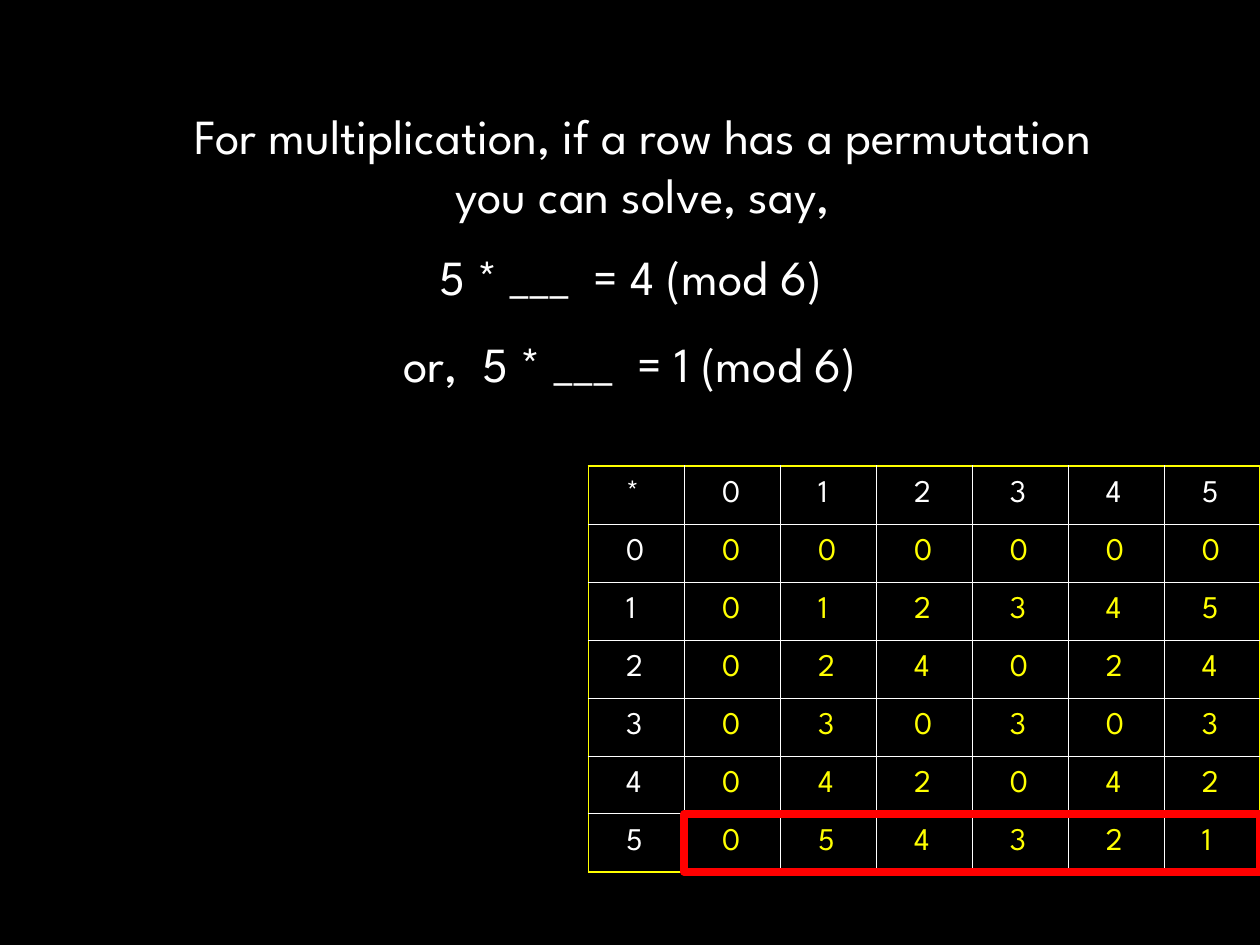
from dataclasses import dataclass

from lxml.etree import SubElement
from pptx import Presentation
from pptx.dml.color import RGBColor
from pptx.enum.shapes import MSO_SHAPE
from pptx.enum.text import MSO_ANCHOR, MSO_AUTO_SIZE, PP_ALIGN
from pptx.oxml.ns import qn
from pptx.slide import Slide
from pptx.table import _Cell
from pptx.text.text import TextFrame
from pptx.util import Inches, Pt

COLORS = {
    "background": "000000",
    "text": "FFFFFF",
    "accent": "FFFF00",
    "highlight": "FF0000",
}
FONT = "League Spartan"
MODULUS = 6
GRID_SIZE = MODULUS + 1
TABLE_LEFT, TABLE_TOP = 4.67, 3.7
COLUMN_WIDTH, ROW_HEIGHT = 5.33 / GRID_SIZE, 0.46


@dataclass
class Equation:
    text: str
    left: float
    top: float
    width: float
    height: float = 0.57


EQUATIONS = [
    Equation("5 * ___  = 4 (mod 6)", 3.21, 1.91, 3.59),
    Equation("or,  5 * ___  = 1 (mod 6)", 2.85, 2.6, 4.3),
]


def color(name: str) -> RGBColor:
    return RGBColor.from_string(COLORS[name])


def write_text(frame: TextFrame, text: str, *, size: float = 28,
               font_color: str = "text", align: PP_ALIGN = PP_ALIGN.CENTER) -> None:
    """Fill the frame with one paragraph for each line of text."""
    frame.text = text
    for paragraph in frame.paragraphs:
        paragraph.alignment = align
        for run in paragraph.runs:
            run.font.name = FONT
            run.font.size = Pt(size)
            run.font.bold = False
            run.font.color.rgb = color(font_color)


def add_heading(slide: Slide, text: str) -> None:
    title = slide.shapes.title
    title.left, title.top = Inches(0.89), Inches(0.79)
    title.width, title.height = Inches(8.42), Inches(1.04)
    frame = title.text_frame
    write_text(frame, text)
    frame.word_wrap = False
    frame.auto_size = MSO_AUTO_SIZE.SHAPE_TO_FIT_TEXT
    frame.vertical_anchor = MSO_ANCHOR.TOP


def add_equation(slide: Slide, equation: Equation) -> None:
    box = slide.shapes.add_textbox(Inches(equation.left), Inches(equation.top),
                                   Inches(equation.width), Inches(equation.height))
    write_text(box.text_frame, equation.text)
    box.text_frame.word_wrap = False
    box.text_frame.auto_size = MSO_AUTO_SIZE.SHAPE_TO_FIT_TEXT


def set_border(cell: _Cell, side: str, is_outer: bool) -> None:
    width = Pt(1.08 if is_outer else 0.45)
    properties = cell._tc.get_or_add_tcPr()
    line = SubElement(properties, qn(f"a:ln{side}"), w=str(int(width)))
    fill = SubElement(line, qn("a:solidFill"))
    SubElement(fill, qn("a:srgbClr"), val=COLORS["accent" if is_outer else "text"])


def cell_text(row: int, column: int) -> str:
    if row == 0 and column == 0:
        return "*"
    if row == 0 or column == 0:
        return str(row + column - 1)
    return str((row - 1) * (column - 1) % MODULUS)


def format_cell(cell: _Cell, row: int, column: int) -> None:
    last = GRID_SIZE - 1
    is_header = row == 0 or column == 0
    write_text(cell.text_frame, cell_text(row, column), size=18, align=PP_ALIGN.LEFT,
               font_color="text" if is_header else "accent")
    cell.vertical_anchor = MSO_ANCHOR.MIDDLE
    cell.margin_left = cell.margin_right = Inches(0.3)
    cell.margin_top = cell.margin_bottom = Inches(0.05)
    outer_sides = {"L": column == 0, "R": column == last, "T": row == 0, "B": row == last}
    for side, is_outer in outer_sides.items():
        set_border(cell, side, is_outer)
    cell.fill.solid()
    cell.fill.fore_color.rgb = color("background")


def add_multiplication_table(slide: Slide) -> None:
    table = slide.shapes.add_table(
        GRID_SIZE, GRID_SIZE, Inches(TABLE_LEFT), Inches(TABLE_TOP),
        Inches(GRID_SIZE * COLUMN_WIDTH), Inches(GRID_SIZE * ROW_HEIGHT)).table
    table.first_row = table.horz_banding = False
    for column in table.columns:
        column.width = Inches(COLUMN_WIDTH)
    for row_index, row in enumerate(table.rows):
        row.height = Inches(ROW_HEIGHT)
        for column_index, cell in enumerate(row.cells):
            format_cell(cell, row_index, column_index)


def add_row_highlight(slide: Slide, row: int) -> None:
    """Frame the products of one table row."""
    frame = slide.shapes.add_shape(
        MSO_SHAPE.RECTANGLE, Inches(TABLE_LEFT + COLUMN_WIDTH),
        Inches(TABLE_TOP + row * ROW_HEIGHT),
        Inches(MODULUS * COLUMN_WIDTH), Inches(ROW_HEIGHT))
    frame.shadow.inherit = False
    frame.fill.background()
    frame.line.color.rgb = color("highlight")
    frame.line.width = Pt(4.5)


def main() -> None:
    presentation = Presentation()
    presentation.slide_width, presentation.slide_height = Inches(10), Inches(7.5)
    title_only = presentation.slide_layouts[5]
    slide = presentation.slides.add_slide(title_only)
    slide.background.fill.solid()
    slide.background.fill.fore_color.rgb = color("background")

    add_heading(slide, "For multiplication, if a row has a permutation\nyou can solve, say,")
    add_multiplication_table(slide)
    add_row_highlight(slide, row=GRID_SIZE - 1)
    for equation in EQUATIONS:
        add_equation(slide, equation)
    presentation.save("out.pptx")


if __name__ == "__main__":
    main()
